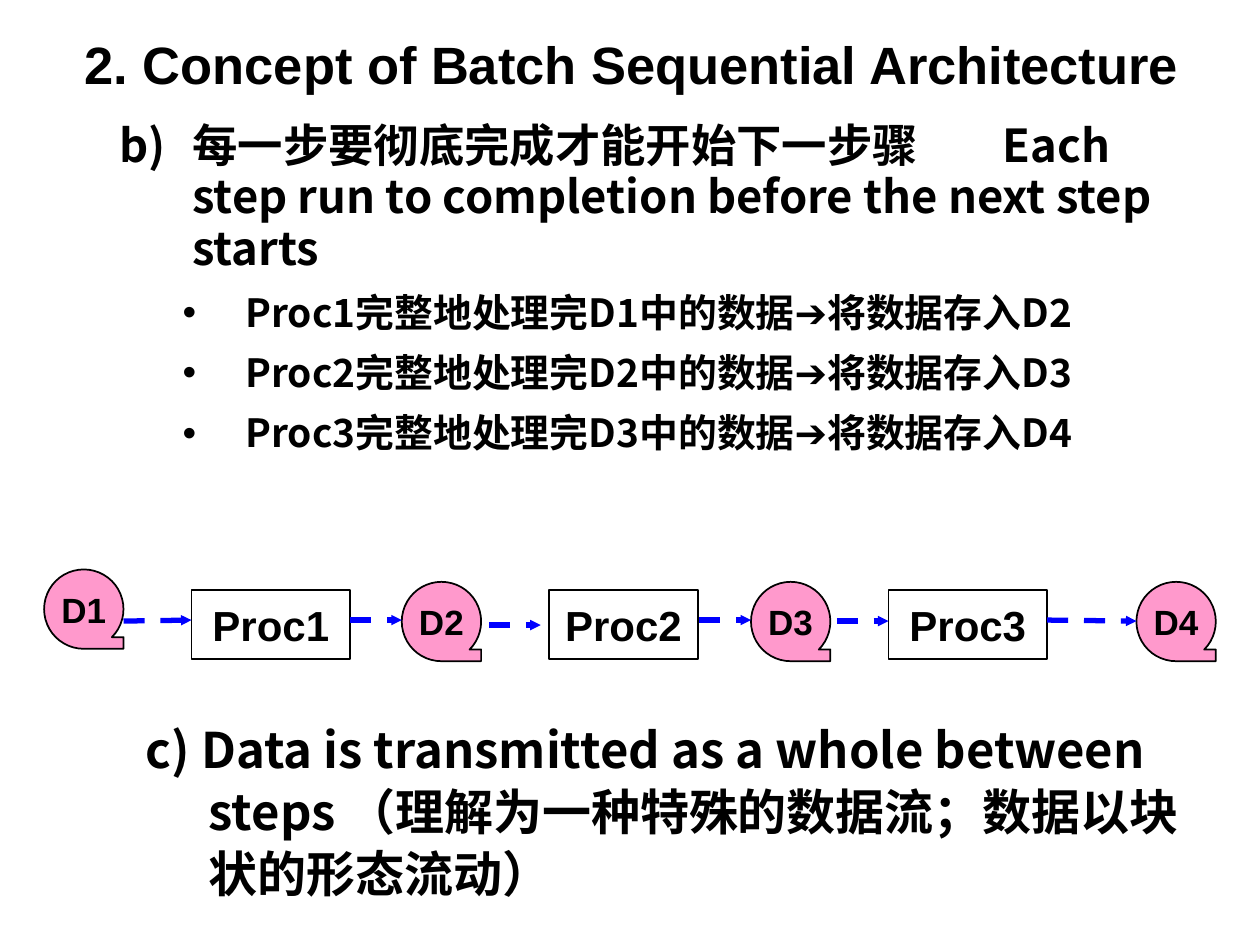
"""Build a slide explaining the batch sequential architecture."""
import dataclasses

import lxml.etree
import pptx
import pptx.dml.color
import pptx.enum.dml
import pptx.enum.shapes
import pptx.enum.text
import pptx.oxml.ns
import pptx.util

Cm = pptx.util.Cm
Pt = pptx.util.Pt
qn = pptx.oxml.ns.qn
Shape = pptx.enum.shapes.MSO_SHAPE
Align = pptx.enum.text.PP_ALIGN


@dataclasses.dataclass(frozen=True)
class Theme:
    ink = pptx.dml.color.RGBColor(0, 0, 0)
    tape = pptx.dml.color.RGBColor(0xFF, 0x99, 0xCC)
    arrow = pptx.dml.color.RGBColor(0, 0, 0xFF)
    latin: str = "Arial"
    chinese: str = "Noto Sans CJK SC"
    title: float = 30
    closing: float = 28
    step: float = 25.9
    detail: float = 22.2
    process: float = 24
    data: float = 20


theme = Theme()


def style(paragraph, size, name, align=Align.LEFT, spacing=1.0):
    paragraph.alignment = align
    paragraph.line_spacing = spacing
    font = paragraph.font
    font.size = Pt(size)
    font.bold = True
    font.color.rgb = theme.ink
    font.name = name
    lxml.etree.SubElement(font._element, qn("a:ea"), typeface=name)


def indent(paragraph, left, first, level):
    paragraph.level = level
    properties = paragraph._p.get_or_add_pPr()
    properties.set("marL", str(Cm(left)))
    properties.set("indent", str(Cm(first)))
    return properties


deck = pptx.Presentation()
deck.slide_width, deck.slide_height = Cm(25.4), Cm(19.05)
page = deck.slides.add_slide(deck.slide_layouts[6])

frames = []
for left, top, width, height in [
    (0.99, 0.71, 23.5, 1.35),
    (0.89, 2.31, 22.86, 8.36),
    (2.69, 14.33, 21.79, 3.99),
]:
    box = page.shapes.add_textbox(Cm(left), Cm(top), Cm(width), Cm(height))
    box.text_frame.word_wrap = True
    frames.append(box.text_frame)
title, body, closing = frames

title.text = "2. Concept of Batch Sequential Architecture"
style(title.paragraphs[0], theme.title, theme.latin, Align.CENTER, 0.85)

step = body.paragraphs[0]
step.add_run().text = (
    "每一步要彻底完成才能开始下一步骤\tEach step run to completion before the next step starts"
)
properties = indent(step, 2.74, -1.47, 1)
lxml.etree.SubElement(properties, qn("a:buAutoNum"), type="alphaLcParenR", startAt="2")
tabs = lxml.etree.SubElement(properties, qn("a:tabLst"))
for position in (16.33, 19.08):
    lxml.etree.SubElement(tabs, qn("a:tab"), pos=str(Cm(position)), algn="l")
style(step, theme.step, theme.chinese, spacing=0.95)

for number in range(1, 4):
    detail = body.add_paragraph()
    for words in (f"Proc{number}完整地处理完D{number}中的数据", "➔", f"将数据存入D{number + 1}"):
        span = detail.add_run()
        span.text = words
        if words == "➔":
            span.font.name = theme.latin
    properties = indent(detail, 3.81, -1.27, 2)
    lxml.etree.SubElement(properties, qn("a:buFont"), typeface=theme.latin)
    lxml.etree.SubElement(properties, qn("a:buChar"), char="•")
    detail.space_before = Pt(9)
    style(detail, theme.detail, theme.chinese, spacing=0.95)

closing.text = (
    "c) Data is transmitted as a whole between\n"
    "steps （理解为一种特殊的数据流；数据以块\n"
    "状的形态流动）"
)
for paragraph in closing.paragraphs:
    style(paragraph, theme.closing, theme.chinese, spacing=1.05)
for paragraph in closing.paragraphs[1:]:
    indent(paragraph, 1.27, 0, 1)

processes = [
    (f"Proc{number}", Shape.RECTANGLE, left, 11.89, width, 1.4, theme.process)
    for number, (left, width) in enumerate([(3.86, 3.2), (11.07, 3), (17.91, 3.2)], 1)
]
stores = [
    (f"D{number}", Shape.FLOWCHART_SEQUENTIAL_ACCESS_STORAGE, left, top, 1.6, 1.6, theme.data)
    for number, (left, top) in enumerate(
        [(0.89, 11.48), (8.1, 11.73), (15.14, 11.73), (22.91, 11.73)], 1
    )
]
for label, kind, left, top, width, height, size in processes + stores:
    node = page.shapes.add_shape(kind, Cm(left), Cm(top), Cm(width), Cm(height))
    node.shadow.inherit = False
    if kind == Shape.RECTANGLE:
        node.fill.background()
    else:
        node.fill.solid()
        node.fill.fore_color.rgb = theme.tape
    node.line.color.rgb = theme.ink
    node.line.width = Pt(1)
    node.text_frame.text = label
    node.text_frame.word_wrap = False
    node.text_frame.vertical_anchor = pptx.enum.text.MSO_ANCHOR.MIDDLE
    style(node.text_frame.paragraphs[0], size, theme.latin, Align.CENTER)

for start_x, start_y, end_x, end_y in [
    (2.49, 12.52, 3.86, 12.5),
    (7.06, 12.5, 8.1, 12.5),
    (9.86, 12.6, 10.9, 12.6),
    (14.1, 12.5, 15.14, 12.5),
    (16.87, 12.52, 17.91, 12.52),
    (21.11, 12.5, 22.91, 12.52),
]:
    arrow = page.shapes.add_connector(
        pptx.enum.shapes.MSO_CONNECTOR.STRAIGHT, Cm(start_x), Cm(start_y), Cm(end_x), Cm(end_y)
    )
    arrow.line.color.rgb = theme.arrow
    arrow.line.width = Pt(3)
    arrow.line.dash_style = pptx.enum.dml.MSO_LINE.DASH
    lxml.etree.SubElement(
        arrow.line._get_or_add_ln(), qn("a:tailEnd"), type="triangle", w="sm", len="sm"
    )
    lxml.etree.SubElement(arrow._element.spPr, qn("a:effectLst"))

deck.save("out.pptx")
